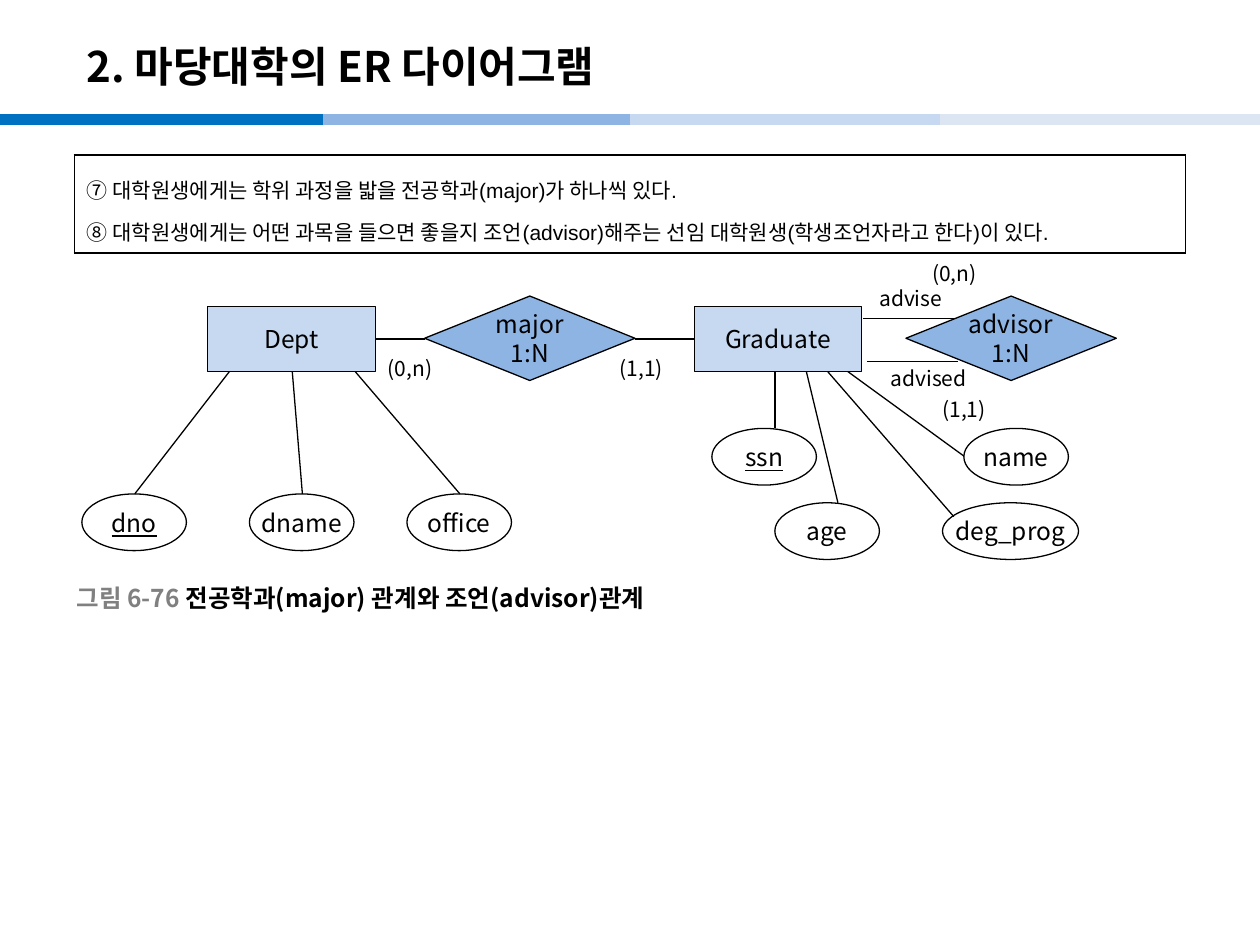
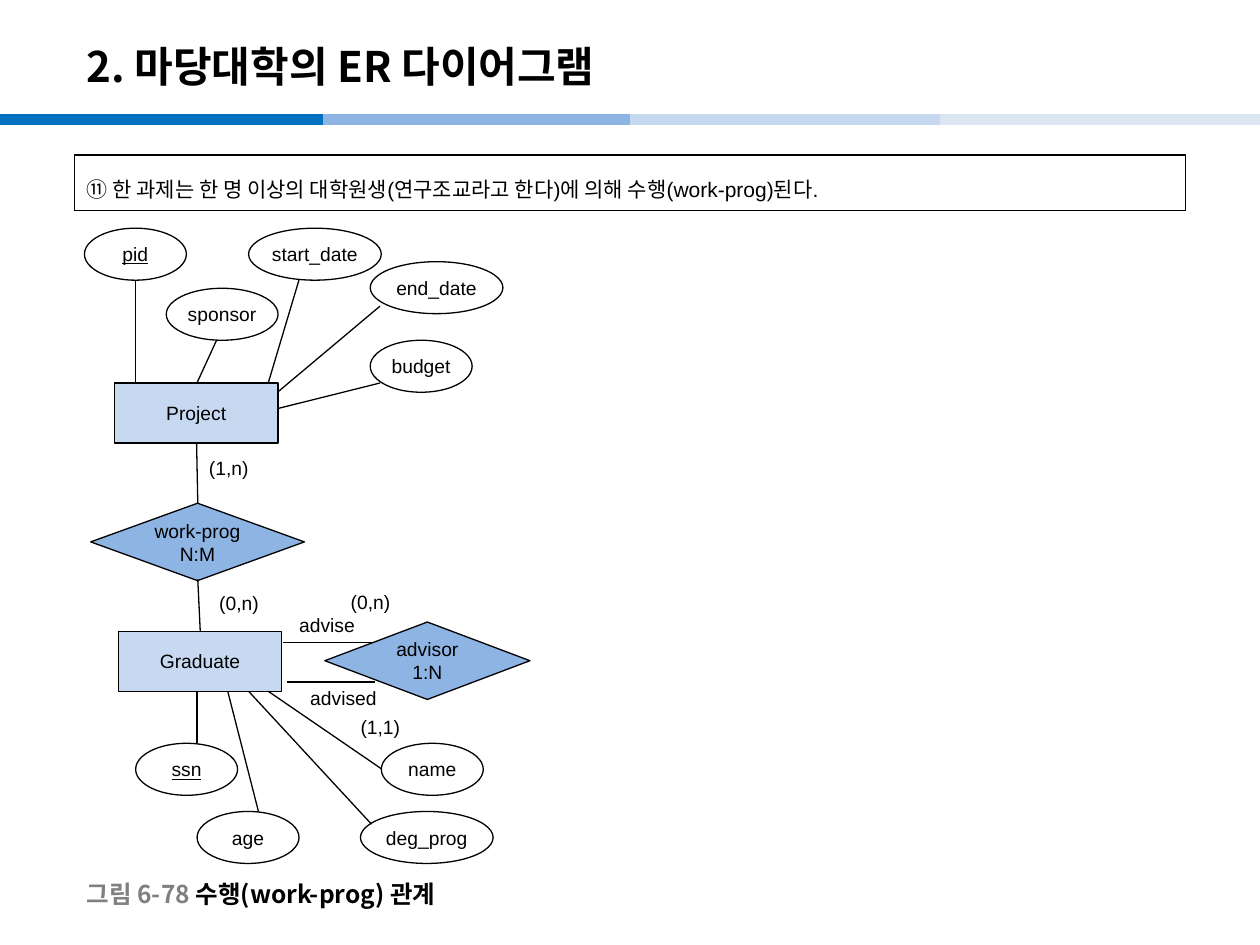
from dataclasses import dataclass
from typing import Any, NamedTuple

import pptx
import pptx.dml.color
import pptx.enum.shapes
import pptx.enum.text
import pptx.oxml
import pptx.oxml.ns
import pptx.util
from lxml import etree

SHAPE = pptx.enum.shapes.MSO_SHAPE
ALIGN = pptx.enum.text.PP_ALIGN
MIDDLE = pptx.enum.text.MSO_ANCHOR.MIDDLE

# Grid of 100 columns by 75 rows on a 10 by 7.5 inch slide
COLUMN = pptx.util.Inches(10) / 100
ROW = pptx.util.Inches(7.5) / 75

KOREAN, LATIN = "Noto Sans CJK KR", "Arial"
BLACK, WHITE, GREY = "000000", "FFFFFF", "808080"
PALE_BLUE, MID_BLUE = "C6D9F1", "8EB4E3"
TITLE = "2. 마당대학의 ER 다이어그램"


class Band(NamedTuple):
    start: float
    end: float
    color: str


BANDS = [
    Band(0, 25.6, "0070C0"),
    Band(25.6, 51.2, MID_BLUE),
    Band(50, 75.6, PALE_BLUE),
    Band(74.6, 100.2, "DCE6F2"),
]


class Kind(NamedTuple):
    preset: Any
    fill: str
    width: float
    height: float


ENTITY = Kind(SHAPE.RECTANGLE, PALE_BLUE, 13.3, 5.2)
RELATION = Kind(SHAPE.DIAMOND, MID_BLUE, 16.7, 6.7)
ATTRIBUTE = Kind(SHAPE.OVAL, WHITE, 8.3, 4.5)


class Node(NamedTuple):
    kind: Kind
    text: str
    x: float
    y: float
    width: float | None = None
    key: bool = False


class Link(NamedTuple):
    x1: float
    y1: float
    x2: float
    y2: float


class Label(NamedTuple):
    text: str
    x: float
    y: float
    width: float = 5.8


class Figure(NamedTuple):
    """An entity with its surroundings, measured from the entity's corner."""
    nodes: list[Node]
    links: list[Link]
    labels: list[Label]


@dataclass(frozen=True)
class View:
    """Scale and type used for the figures of one slide."""
    scale_x: float
    scale_y: float
    font: str
    size: float
    label_size: float


LARGE = View(1, 1, KOREAN, 14, 12)
SMALL = View(0.975, 0.917, LATIN, 11, 11)

DEPT = Figure(
    [
        Node(ENTITY, "Dept", 0, 0),
        Node(ATTRIBUTE, "dno", -10, 14.9, key=True),
        Node(ATTRIBUTE, "dname", 3.3, 14.9),
        Node(ATTRIBUTE, "office", 15.8, 14.9),
        Node(RELATION, "major\n1:N", 17.2, -0.8),
    ],
    [
        Link(1.7, 5.2, -5.8, 14.9),
        Link(6.7, 5.2, 7.5, 14.9),
        Link(11.7, 5.2, 20, 14.9),
        Link(13.3, 2.6, 17.2, 2.6),
        Link(33.9, 2.6, 38.6, 2.6),
    ],
    [Label("(0,n)", 13.3, 3.4, 7.5), Label("(1,1)", 31.7, 3.4)],
)

GRADUATE = Figure(
    [
        Node(ENTITY, "Graduate", 0, 0),
        Node(ATTRIBUTE, "ssn", 1.4, 9.7, key=True),
        Node(ATTRIBUTE, "age", 6.4, 15.6),
        Node(ATTRIBUTE, "deg_prog", 19.7, 15.6, 10.8),
        Node(ATTRIBUTE, "name", 21.4, 9.7),
        Node(RELATION, "advisor\n1:N", 16.8, -0.8),
    ],
    [
        Link(6.4, 5.2, 6.4, 9.7),
        Link(8.9, 5.2, 11.4, 15.6),
        Link(10.6, 5.2, 20.6, 16.7),
        Link(12.2, 5.2, 21.4, 11.9),
        Link(13.4, 1, 20.6, 1),
        Link(13.7, 4.4, 20.9, 4.4),
    ],
    [
        Label("advise", 13.7, -2.1, 8.3),
        Label("advised", 14.6, 4.2, 8.3),
        Label("(0,n)", 17.9, -4.1),
        Label("(1,1)", 18.7, 6.7),
    ],
)

PROJECT = Figure(
    [
        Node(ENTITY, "Project", 0, 0),
        Node(ATTRIBUTE, "pid", -2.46, -13.4, key=True),
        Node(ATTRIBUTE, "sponsor", 4.2, -8.2, 9.1),
        Node(ATTRIBUTE, "end_date", 20.8, -10.5, 10.8),
        Node(ATTRIBUTE, "start_date", 10.9, -13.4, 10.8),
        Node(ATTRIBUTE, "budget", 20.8, -3.7),
        Node(RELATION, "work-prog\nN:M", -1.95, 10.4, 17.4),
    ],
    [
        Link(1.7, -8.9, 1.7, 0),
        Link(8.3, -3.7, 6.7, 0),
        Link(15, -8.9, 12.5, 0),
        Link(21.6, -6.65, 13.3, 0.76),
        Link(21.6, 0, 13.3, 2.2),
        Link(6.67, 5.2, 6.77, 10.4),
        Link(6.97, 21.5, 6.77, 17),
    ],
    [Label("(1,n)", 6.67, 5.8), Label("(0,n)", 7.5, 17.45)],
)


def rgb(color: str) -> pptx.dml.color.RGBColor:
    return pptx.dml.color.RGBColor.from_string(color)


def place(x: float, y: float, width: float, height: float) -> tuple[int, ...]:
    """Turn columns and rows into slide lengths."""
    return (round(x * COLUMN), round(y * ROW), round(width * COLUMN), round(height * ROW))


def apply_format(target: Any, values: dict[str, Any]) -> None:
    for name, value in values.items():
        setattr(target, name, value)


def add_run(paragraph: Any, text: str, font: str, size: float, color: str = BLACK, **styles: bool) -> None:
    run = paragraph.add_run()
    run.text = text
    apply_format(run.font, {"name": font, "size": pptx.util.Pt(size), **styles})
    run.font.color.rgb = rgb(color)
    east_asian = etree.SubElement(run.font._element, pptx.oxml.ns.qn("a:ea"))
    east_asian.set("typeface", KOREAN)


def add_lines(frame: Any, text: str, font: str, size: float, layout: dict[str, Any], **styles: bool) -> None:
    """Write each line of the text as a paragraph."""
    for index, line in enumerate(text.split("\n")):
        paragraph = frame.add_paragraph() if index else frame.paragraphs[0]
        apply_format(paragraph, layout)
        add_run(paragraph, line, font, size, **styles)


def add_line(slide: Any, link: Link, color: str = BLACK, width: float = 0.75) -> None:
    start_x, start_y, end_x, end_y = place(*link)
    connector = slide.shapes.add_connector(
        pptx.enum.shapes.MSO_CONNECTOR.STRAIGHT, start_x, start_y, end_x, end_y)
    connector.line.color.rgb = rgb(color)
    connector.line.width = pptx.util.Pt(width)
    etree.SubElement(connector._element.spPr, pptx.oxml.ns.qn("a:effectLst"))


def add_text_box(slide: Any, box: tuple[float, float, float, float], **values: Any) -> Any:
    frame = slide.shapes.add_textbox(*place(*box)).text_frame
    apply_format(frame, {"word_wrap": True, **values})
    return frame


def add_node(slide: Any, node: Node, box: tuple[float, float, float, float], view: View) -> None:
    shape = slide.shapes.add_shape(node.kind.preset, *place(*box))
    shape.shadow.inherit = False
    shape.fill.solid()
    shape.fill.fore_color.rgb = rgb(node.kind.fill)
    shape.line.color.rgb = rgb(BLACK)
    shape.line.width = pptx.util.Pt(0.75)
    apply_format(shape.text_frame, {"word_wrap": False, "vertical_anchor": MIDDLE})
    add_lines(shape.text_frame, node.text, view.font, view.size,
              {"alignment": ALIGN.CENTER}, underline=node.key)


def add_figure(slide: Any, figure: Figure, left: float, top: float, view: View) -> None:
    def scaled(x: float, y: float) -> tuple[float, float]:
        return left + x * view.scale_x, top + y * view.scale_y

    def box(x: float, y: float, width: float, height: float) -> tuple[float, float, float, float]:
        return *scaled(x, y), width * view.scale_x, height * view.scale_y

    for node in figure.nodes:
        width = node.width or node.kind.width
        add_node(slide, node, box(node.x, node.y, width, node.kind.height), view)
    for link in figure.links:
        add_line(slide, Link(*scaled(link.x1, link.y1), *scaled(link.x2, link.y2)))
    for label in figure.labels:
        frame = add_text_box(slide, box(label.x, label.y, label.width, 3))
        add_lines(frame, label.text, view.font, view.label_size, {})


def add_requirements(slide: Any, text: str, height: float) -> None:
    """Draw the bordered one-cell table of requirements."""
    table = slide.shapes.add_table(1, 1, *place(5.9, 12.3, 88.2, height)).table
    apply_format(table, {"first_row": False, "horz_banding": False})
    cell = table.cell(0, 0)
    cell.vertical_anchor = MIDDLE
    cell.fill.solid()
    cell.fill.fore_color.rgb = rgb(WHITE)
    properties = cell._tc.get_or_add_tcPr()
    for index, side in enumerate("LRTB"):
        properties.insert(index, pptx.oxml.parse_xml(
            f'<a:ln{side} {pptx.oxml.ns.nsdecls("a")} w="12700"><a:solidFill>'
            f'<a:srgbClr val="{BLACK}"/></a:solidFill></a:ln{side}>'))
    add_lines(cell.text_frame, text, LATIN, 12, {"line_spacing": 1.4})


def add_caption(slide: Any, left: float, top: float, number: str, text: str) -> None:
    frame = add_text_box(slide, (left, top, 60, 3.1), vertical_anchor=MIDDLE)
    for part, color in ((f"그림 {number} ", GREY), (text, BLACK)):
        add_run(frame.paragraphs[0], part, KOREAN, 14, color, bold=True)


def add_base_slide(presentation: Any) -> Any:
    """Add a blank slide with the shared bands and title."""
    slide = presentation.slides.add_slide(presentation.slide_layouts[6])
    for band in BANDS:
        add_line(slide, Link(band.start, 9.5, band.end, 9.5), band.color, 6)
    frame = add_text_box(slide, (5.9, 2.2, 82.7, 6), vertical_anchor=MIDDLE)
    add_lines(frame, TITLE, KOREAN, 24, {}, bold=True)
    return slide


def main() -> None:
    presentation = pptx.Presentation()
    presentation.slide_width = round(100 * COLUMN)
    presentation.slide_height = round(75 * ROW)

    slide = add_base_slide(presentation)
    add_requirements(
        slide,
        "⑦ 대학원생에게는 학위 과정을 밟을 전공학과(major)가 하나씩 있다.\n"
        "⑧ 대학원생에게는 어떤 과목을 들으면 좋을지 조언(advisor)해주는 선임 대학원생(학생조언자라고 한다)이 있다.",
        7.8)
    add_figure(slide, DEPT, 16.5, 24.3, LARGE)
    add_figure(slide, GRADUATE, 55.1, 24.3, LARGE)
    add_caption(slide, 5.1, 45.9, "6-76", "전공학과(major) 관계와 조언(advisor)관계")

    slide = add_base_slide(presentation)
    add_requirements(
        slide, "⑪ 한 과제는 한 명 이상의 대학원생(연구조교라고 한다)에 의해 수행(work-prog)된다.", 4.4)
    add_figure(slide, PROJECT, 9.1, 30.4, SMALL)
    add_figure(slide, GRADUATE, 9.4, 50.1, SMALL)
    add_caption(slide, 5.9, 69.4, "6-78", "수행(work-prog) 관계")

    presentation.save("out.pptx")


if __name__ == "__main__":
    main()
